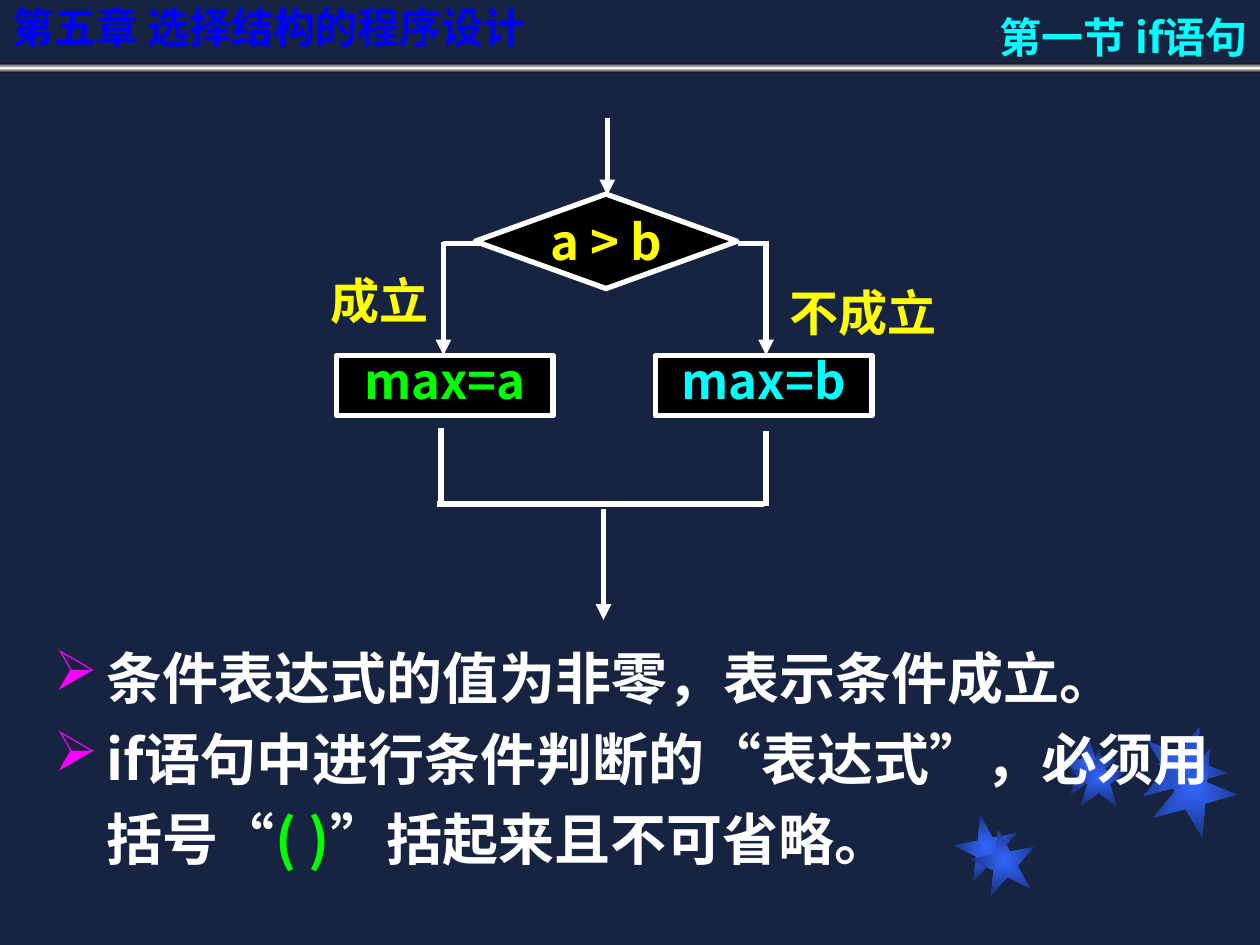
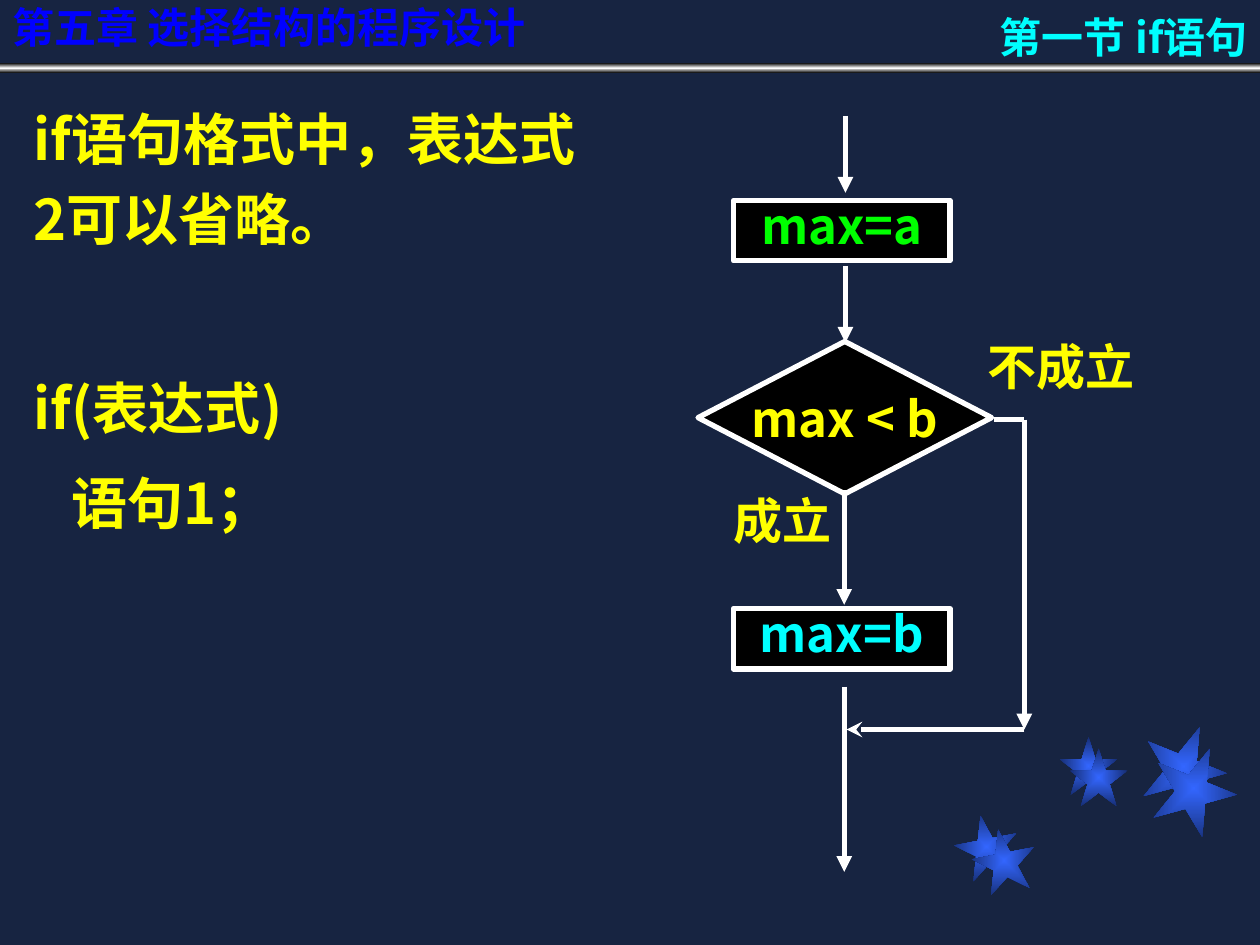
from pptx import Presentation
from pptx.dml.color import RGBColor
from pptx.enum.shapes import MSO_CONNECTOR, MSO_SHAPE
from pptx.enum.text import MSO_ANCHOR, MSO_AUTO_SIZE, PP_ALIGN
from pptx.oxml import parse_xml
from pptx.oxml.ns import nsdecls, qn
from pptx.util import Inches, Pt

STRAIGHT = MSO_CONNECTOR.STRAIGHT
DIAMOND, RECT, STAR = MSO_SHAPE.DIAMOND, MSO_SHAPE.RECTANGLE, MSO_SHAPE.STAR_5_POINT
TOP, MIDDLE = MSO_ANCHOR.TOP, MSO_ANCHOR.MIDDLE
NO_FIT, GROW = MSO_AUTO_SIZE.NONE, MSO_AUTO_SIZE.SHAPE_TO_FIT_TEXT
LEFT, CENTER, RIGHT = PP_ALIGN.LEFT, PP_ALIGN.CENTER, PP_ALIGN.RIGHT

NAVY = RGBColor(0x17, 0x24, 0x41)
BLACK = RGBColor(0, 0, 0)
WHITE = RGBColor(0xFF, 0xFF, 0xFF)
SILVER = RGBColor(0xFE, 0xFE, 0xFE)
GRAY = RGBColor(0x80, 0x80, 0x80)
BLUE = RGBColor(0, 0, 0xFF)
STAR_BLUE = RGBColor(0x33, 0x66, 0xFF)
STAR_EDGE = RGBColor(0x17, 0x2F, 0x75)
YELLOW = RGBColor(0xFF, 0xFF, 0)
GREEN = RGBColor(0, 0xFF, 0)
CYAN = RGBColor(0, 0xFF, 0xFF)
MAGENTA = RGBColor(0xFF, 0, 0xFF)

FONT = "Noto Sans CJK SC"
NODE_W, NODE_H = 1.72, 0.48
STARS = [(7.58, 6.47, 0.5, 349), (8.41, 5.85, 0.46, 0), (9.06, 5.75, 0.67, 22),
         (7.72, 6.58, 0.5, 349), (8.49, 5.94, 0.46, 0), (9.14, 5.92, 0.67, 22)]
FROM_CENTER = '<a:path path="rect"><a:fillToRect l="50000" t="50000" r="50000" b="50000"/></a:path>'
DOWNWARD = '<a:lin ang="5400000" scaled="1"/>'


class Deck:
    """Lecture style and the slide being drawn."""

    def __init__(self):
        self.prs = Presentation()
        self.prs.slide_width, self.prs.slide_height = Inches(10), Inches(7.5)
        self.s = None

    def slide(self, chapter, section):
        self.s = self.prs.slides.add_slide(self.prs.slide_layouts[6])
        fill = self.s.background.fill
        fill.solid()
        fill.fore_color.rgb = NAVY
        for x, y, size, angle in STARS:
            star = self.shape(STAR, x, y, size, size)
            star.rotation = angle
            self.gradient(star, [(0, STAR_BLUE), (100, STAR_EDGE)], FROM_CENTER)
        band = self.shape(RECT, 0, 0.5, 10, 0.08)
        self.gradient(band, [(0, BLACK), (50, SILVER), (100, BLACK)], DOWNWARD)
        title = self.text(0, -0.08, 4.92, 0.58, [chapter], BLUE, 24, anchor=MIDDLE, wrap=False)
        self.shadow(title.text_frame.paragraphs[0].runs[0])
        self.text(6.08, 0, 3.92, 0.58, [section], CYAN, 24, RIGHT, MIDDLE, wrap=False)

    def shape(self, kind, x, y, w, h):
        sp = self.s.shapes.add_shape(kind, Inches(x), Inches(y), Inches(w), Inches(h))
        sp.shadow.inherit = False
        sp.line.fill.background()
        return sp

    def gradient(self, sp, stops, direction):
        gs = "".join(f'<a:gs pos="{pos * 1000}"><a:srgbClr val="{color}"/></a:gs>'
                     for pos, color in stops)
        xml = f'<a:gradFill {nsdecls("a")} rotWithShape="1"><a:gsLst>{gs}</a:gsLst>{direction}</a:gradFill>'
        sp._element.spPr.find(qn("a:prstGeom")).addnext(parse_xml(xml))

    def shadow(self, r):
        xml = (f'<a:effectLst {nsdecls("a")}><a:outerShdw dist="25400" dir="2700000">'
               f'<a:srgbClr val="{GRAY}"/></a:outerShdw></a:effectLst>')
        r.font._element.find(qn("a:solidFill")).addnext(parse_xml(xml))

    def style(self, r, color, size):
        r.font.size, r.font.bold, r.font.name = Pt(size), True, FONT
        r.font.color.rgb = color
        ea = parse_xml(f'<a:ea {nsdecls("a")} typeface="{FONT}"/>')
        r.font._element.find(qn("a:latin")).addnext(ea)

    def put_text(self, sp, lines, color, size=28, align=LEFT, anchor=TOP,
                 wrap=True, spacing=1.0, fit=NO_FIT):
        tf = sp.text_frame
        tf.word_wrap, tf.auto_size, tf.vertical_anchor = wrap, fit, anchor
        tf.text = "\n".join(lines)
        for p in tf.paragraphs:
            p.alignment, p.line_spacing = align, spacing
            for r in p.runs:
                self.style(r, color, size)
        return sp

    def text(self, x, y, w, h, lines, color, size=28, *args, **kwargs):
        sp = self.s.shapes.add_textbox(Inches(x), Inches(y), Inches(w), Inches(h))
        return self.put_text(sp, lines, color, size, *args, **kwargs)

    def bullet(self, p):
        pPr = p._p.get_or_add_pPr()
        pPr.set("marL", str(Inches(0.42)))
        pPr.set("indent", str(-Inches(0.42)))
        for xml in (f'<a:buClr {nsdecls("a")}><a:srgbClr val="{MAGENTA}"/></a:buClr>',
                    f'<a:buChar {nsdecls("a")} char="➢"/>'):
            pPr.append(parse_xml(xml))

    def outlined(self, kind, x, y, w, h):
        sp = self.shape(kind, x, y, w, h)
        sp.fill.solid()
        sp.fill.fore_color.rgb = BLACK
        sp.line.color.rgb, sp.line.width = WHITE, Pt(3)
        return sp

    def decision(self, x, y, w, h, condition):
        sp = self.outlined(DIAMOND, x, y, w, h)
        self.put_text(sp, [condition], YELLOW, align=CENTER, anchor=MIDDLE, wrap=False)

    def step(self, x, y, statement, color):
        sp = self.outlined(RECT, x, y, NODE_W, NODE_H)
        self.put_text(sp, [statement], color, align=CENTER, spacing=0.8, fit=GROW)

    def branch_labels(self, yes, no):
        self.text(*yes, 1.37, 0.48, ["成立"], YELLOW, align=RIGHT, spacing=0.8, fit=GROW)
        self.text(*no, 1.44, 0.48, ["不成立"], YELLOW, spacing=0.8, fit=GROW)

    def flow(self, x1, y1, x2, y2, head=None):
        c = self.s.shapes.add_connector(STRAIGHT, Inches(x1), Inches(y1), Inches(x2), Inches(y2))
        c.line.color.rgb, c.line.width = WHITE, Pt(3)
        if head:
            c.line._get_or_add_ln().append(parse_xml(f'<a:tailEnd {nsdecls("a")} type="{head}"/>'))
        c._element.spPr.append(parse_xml(f'<a:effectLst {nsdecls("a")}/>'))

    def arrow(self, x1, y1, x2, y2, head="triangle"):
        self.flow(x1, y1, x2, y2, head)


def if_else_slide(d):
    sp = d.text(0.33, 4.95, 9.58, 2.02,
                ["条件表达式的值为非零，表示条件成立。", "if语句中进行条件判断的“表达式”，必须用括号“"],
                WHITE, 32, anchor=MIDDLE, spacing=1.2, fit=GROW)
    p = sp.text_frame.paragraphs[1]
    for words, color in (("( )", GREEN), ("”括起来且不可省略。", WHITE)):
        r = p.add_run()
        r.text = words
        d.style(r, color, 32)
    for p in sp.text_frame.paragraphs:
        d.bullet(p)

    d.decision(3.77, 1.54, 2.08, 0.75, "a > b")
    d.step(2.67, 2.82, "max=a", GREEN)
    d.step(5.2, 2.82, "max=b", CYAN)
    d.arrow(4.82, 0.94, 4.82, 1.55)
    for x in (3.52, 6.08):
        d.arrow(x, 1.92, x, 2.82)
    d.flow(3.52, 1.93, 3.81, 1.93)
    d.flow(5.86, 1.93, 6.1, 1.93)
    d.flow(3.5, 3.4, 3.5, 4)
    d.flow(6.08, 3.42, 6.08, 4.02)
    d.flow(6.06, 4, 3.47, 4)
    d.arrow(4.79, 4.04, 4.79, 4.92)
    d.branch_labels((2.13, 2.19), (6.17, 2.28))


def if_only_slide(d):
    d.decision(5.54, 2.71, 2.33, 1.21, "max < b")
    d.step(5.82, 1.59, "max=a", GREEN)
    d.step(5.82, 4.83, "max=b", CYAN)
    for x, top, bottom in ((6.71, 0.92, 1.53), (6.71, 2.11, 2.72), (6.7, 3.89, 4.8),
                           (6.7, 5.45, 6.92), (8.13, 3.33, 5.79)):
        d.arrow(x, top, x, bottom)
    d.flow(7.89, 3.33, 8.13, 3.33)
    d.arrow(8.13, 5.79, 6.72, 5.79, "stealth")
    d.branch_labels((5.33, 3.93), (7.74, 2.71))

    sp = d.text(0.17, 0.67, 4.58, 4.2,
                ["if语句格式中，表达式2可以省略。", "if(表达式)", "语句1；"],
                YELLOW, 32, spacing=1.2)
    rule, condition, body = sp.text_frame.paragraphs
    condition.space_before, body.space_before = Pt(62), Pt(8)
    body._p.get_or_add_pPr().set("marL", str(Inches(0.3)))


def main():
    d = Deck()
    for draw in (if_else_slide, if_only_slide):
        d.slide("第五章 选择结构的程序设计", "第一节 if语句")
        draw(d)
    d.prs.save("out.pptx")


if __name__ == "__main__":
    main()
